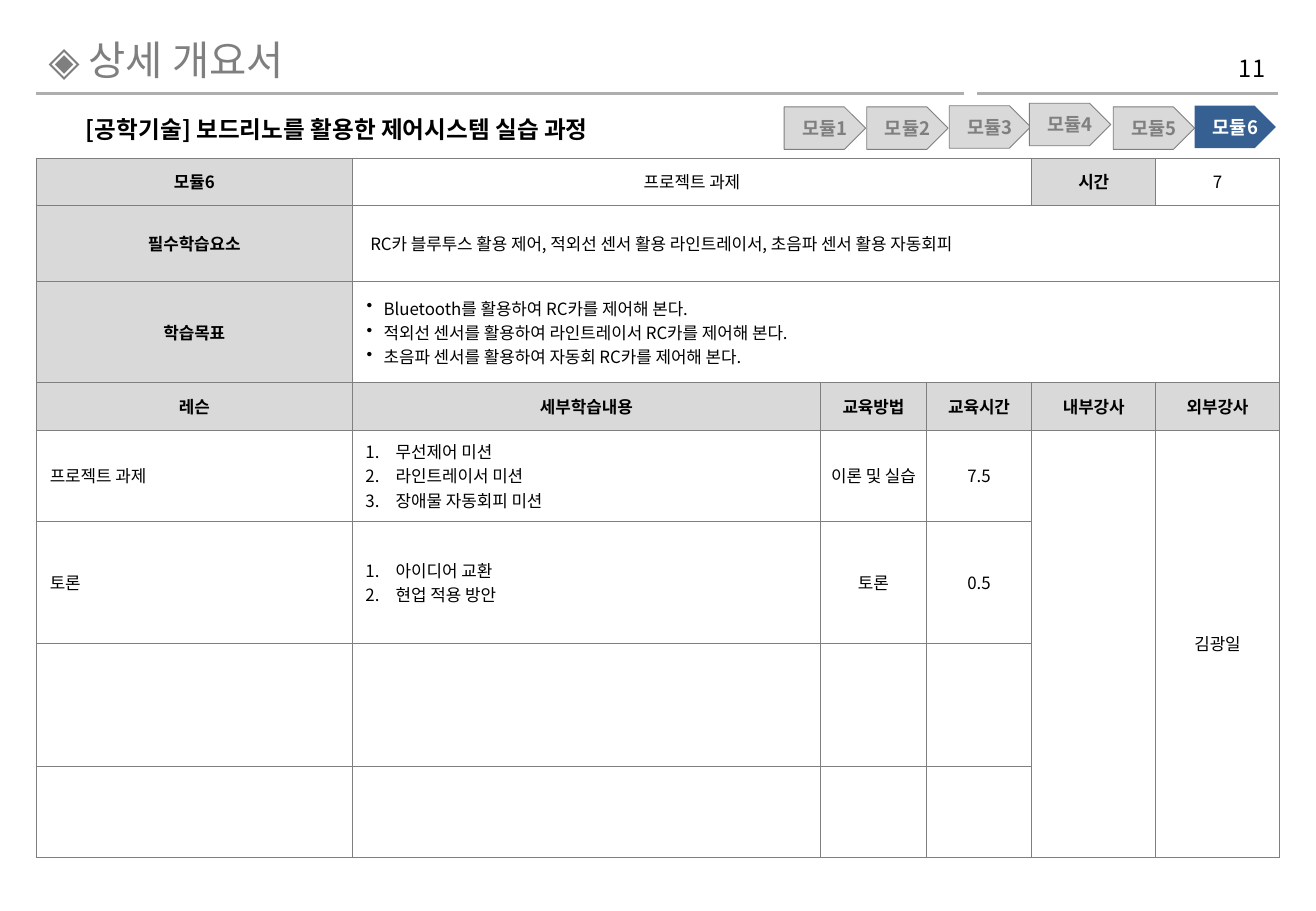
from dataclasses import dataclass

from pptx import Presentation
from pptx.dml.color import RGBColor
from pptx.enum.shapes import MSO_CONNECTOR, MSO_SHAPE
from pptx.enum.text import MSO_ANCHOR, MSO_AUTO_SIZE, PP_ALIGN
from pptx.oxml.ns import qn
from pptx.slide import Slide
from pptx.table import Table, _Cell
from pptx.text.text import TextFrame
from pptx.util import Emu, Pt
from lxml import etree

LEFT, CENTER, RIGHT = PP_ALIGN.LEFT, PP_ALIGN.CENTER, PP_ALIGN.RIGHT
MIDDLE = MSO_ANCHOR.MIDDLE
NO_AUTOFIT = MSO_AUTO_SIZE.NONE
STRAIGHT = MSO_CONNECTOR.STRAIGHT
PENTAGON = MSO_SHAPE.PENTAGON
EMU_PER_PX = 9144  # 100 px to the inch


@dataclass(frozen=True)
class Theme:
    font: str = "Noto Sans CJK KR"
    black: str = "000000"
    white: str = "FFFFFF"
    gray: str = "7F7F7F"
    light: str = "D9D9D9"
    rule: str = "AEAEAE"
    active: str = "376092"
    title_size: float = 24
    heading_size: float = 14
    module_size: float = 11
    table_size: float = 10
    rule_width: float = 2
    outline_width: float = 0.5
    border_width: float = 0.45


THEME = Theme()


@dataclass(frozen=True)
class Box:
    left: int
    top: int
    width: int
    height: int


@dataclass(frozen=True)
class Module:
    label: str
    left: int
    top: int
    active: bool = False


@dataclass(frozen=True)
class CellStyle:
    header: bool = False
    align: PP_ALIGN = CENTER
    margin: int = 0
    indent: int = 0
    bullet: str = ""


@dataclass(frozen=True)
class Entry:
    row: int
    column: int
    lines: tuple[str, ...]
    style: CellStyle
    row_span: int = 1
    column_span: int = 1


HEADER = CellStyle(header=True)
VALUE = CellStyle()
LESSON = CellStyle(align=LEFT, margin=10)
SUMMARY = CellStyle(align=LEFT, margin=14)
GOALS = CellStyle(align=LEFT, margin=25, indent=-14, bullet="•")
STEPS = CellStyle(align=LEFT, margin=35, indent=-25, bullet="arabicPeriod")

TITLE_BOX = Box(30, 21, 752, 56)
PAGE_BOX = Box(998, 36, 54, 40)
COURSE_BOX = Box(61, 88, 485, 36)
RULES = ((30, 794), (805, 1053))
RULE_TOP = 77
MODULE_WIDTH, MODULE_HEIGHT = 67, 35
MODULES = (
    Module("모듈1", 646, 88),
    Module("모듈2", 714, 88),
    Module("모듈3", 782, 87),
    Module("모듈4", 848, 85),
    Module("모듈5", 917, 88),
    Module("모듈6", 984, 87, active=True),
)

COLUMNS = (260, 386, 87, 87, 102, 102)
ROWS = (39, 63, 83, 39, 75, 101, 101, 75)
TABLE_BOX = Box(30, 130, sum(COLUMNS), sum(ROWS))
COLUMN_TITLES = ("레슨", "세부학습내용", "교육방법", "교육시간", "내부강사", "외부강사")
ENTRIES = (
    Entry(0, 0, ("모듈6",), HEADER),
    Entry(0, 1, ("프로젝트 과제",), VALUE, column_span=3),
    Entry(0, 4, ("시간",), HEADER),
    Entry(0, 5, ("7",), VALUE),
    Entry(1, 0, ("필수학습요소",), HEADER),
    Entry(1, 1, ("RC카 블루투스 활용 제어, 적외선 센서 활용 라인트레이서, 초음파 센서 활용 자동회피",),
          SUMMARY, column_span=5),
    Entry(2, 0, ("학습목표",), HEADER),
    Entry(2, 1, ("Bluetooth를 활용하여 RC카를 제어해 본다.",
                 "적외선 센서를 활용하여 라인트레이서 RC카를 제어해 본다.",
                 "초음파 센서를 활용하여 자동회 RC카를 제어해 본다."), GOALS, column_span=5),
    *(Entry(3, column, (title,), HEADER) for column, title in enumerate(COLUMN_TITLES)),
    Entry(4, 0, ("프로젝트 과제",), LESSON),
    Entry(4, 1, ("무선제어 미션", "라인트레이서 미션", "장애물 자동회피 미션"), STEPS),
    Entry(4, 2, ("이론 및 실습",), VALUE),
    Entry(4, 3, ("7.5",), VALUE),
    Entry(4, 4, (), VALUE, row_span=4),
    Entry(4, 5, ("김광일",), VALUE, row_span=4),
    Entry(5, 0, ("토론",), LESSON),
    Entry(5, 1, ("아이디어 교환", "현업 적용 방안"), STEPS),
    Entry(5, 2, ("토론",), VALUE),
    Entry(5, 3, ("0.5",), VALUE),
)


def px(length: int) -> Emu:
    return Emu(length * EMU_PER_PX)


def place(box: Box) -> tuple[Emu, Emu, Emu, Emu]:
    return px(box.left), px(box.top), px(box.width), px(box.height)


def rgb(color: str) -> RGBColor:
    return RGBColor.from_string(color)


def set_insets(holder: TextFrame | _Cell, left: int, right: int) -> None:
    holder.vertical_anchor = MIDDLE
    holder.margin_left, holder.margin_right = px(left), px(right)
    holder.margin_top = holder.margin_bottom = px(5)


def write_text(frame: TextFrame, lines: tuple[str, ...], *, size: float, color: str = THEME.black,
               bold: bool = False, align: PP_ALIGN = LEFT, margin: int = 0, indent: int = 0,
               bullet: str = "") -> None:
    for index, line in enumerate(lines):
        paragraph = frame.add_paragraph() if index else frame.paragraphs[0]
        paragraph.alignment = align
        properties = paragraph._p.get_or_add_pPr()
        properties.set("marL", str(px(margin)))
        properties.set("indent", str(px(indent)))
        if bullet == "•":
            etree.SubElement(properties, qn("a:buChar"), char=bullet)
        elif bullet:
            etree.SubElement(properties, qn("a:buAutoNum"), type=bullet)
        run = paragraph.add_run()
        run.text = line
        font = run.font
        font.name, font.size, font.bold = THEME.font, Pt(size), bold
        font.color.rgb = rgb(color)
        etree.SubElement(run._r.get_or_add_rPr(), qn("a:ea"), typeface=THEME.font)


def add_label(slide: Slide, box: Box, text: str, *, bold: bool = False, align: PP_ALIGN = LEFT) -> None:
    frame = slide.shapes.add_textbox(*place(box)).text_frame
    frame.word_wrap = True
    set_insets(frame, 10, 10)
    write_text(frame, (text,), size=THEME.heading_size, bold=bold, align=align)


def add_title(slide: Slide, text: str) -> None:
    title = slide.shapes.title
    title.left, title.top, title.width, title.height = place(TITLE_BOX)
    title.text_frame.auto_size = NO_AUTOFIT
    set_insets(title.text_frame, 10, 10)
    write_text(title.text_frame, (text,), size=THEME.title_size, color=THEME.gray)


def add_rule(slide: Slide, start: int, end: int) -> None:
    rule = slide.shapes.add_connector(STRAIGHT, px(start), px(RULE_TOP), px(end), px(RULE_TOP))
    rule.line.color.rgb = rgb(THEME.rule)
    rule.line.width = Pt(THEME.rule_width)
    etree.SubElement(rule._element.spPr, qn("a:effectLst"))


def add_module(slide: Slide, module: Module) -> None:
    box = Box(module.left, module.top, MODULE_WIDTH, MODULE_HEIGHT)
    shape = slide.shapes.add_shape(PENTAGON, *place(box))
    shape.shadow.inherit = False
    shape.fill.solid()
    shape.fill.fore_color.rgb = rgb(THEME.active if module.active else THEME.light)
    if module.active:
        shape.line.fill.background()
    else:
        shape.line.color.rgb = rgb(THEME.gray)
        shape.line.width = Pt(THEME.outline_width)
    shape.text_frame.word_wrap = False
    set_insets(shape.text_frame, 9, 0)  # offsets the pentagon's narrower text area
    write_text(shape.text_frame, (module.label,), size=THEME.module_size, bold=True, align=CENTER,
               color=THEME.white if module.active else THEME.gray)


def format_cell(cell: _Cell, fill: str) -> None:
    set_insets(cell, 1, 1)
    properties = cell._tc.get_or_add_tcPr()
    for side in ("a:lnL", "a:lnR", "a:lnT", "a:lnB"):
        border = etree.SubElement(properties, qn(side), w=str(Pt(THEME.border_width)))
        solid = etree.SubElement(border, qn("a:solidFill"))
        etree.SubElement(solid, qn("a:srgbClr"), val=THEME.gray)
    cell.fill.solid()
    cell.fill.fore_color.rgb = rgb(fill)


def fill_entry(table: Table, entry: Entry) -> None:
    cell, style = table.cell(entry.row, entry.column), entry.style
    if entry.row_span > 1 or entry.column_span > 1:
        cell.merge(table.cell(entry.row + entry.row_span - 1, entry.column + entry.column_span - 1))
    write_text(cell.text_frame, entry.lines, size=THEME.table_size, bold=style.header,
               align=style.align, margin=style.margin, indent=style.indent, bullet=style.bullet)


def add_outline_table(slide: Slide) -> None:
    table = slide.shapes.add_table(len(ROWS), len(COLUMNS), *place(TABLE_BOX)).table
    for column, width in zip(table.columns, COLUMNS):
        column.width = px(width)
    headers = {(entry.row, entry.column) for entry in ENTRIES if entry.style.header}
    for row, height in enumerate(ROWS):
        table.rows[row].height = px(height)
        for column in range(len(COLUMNS)):
            format_cell(table.cell(row, column), THEME.light if (row, column) in headers else THEME.white)
    for entry in ENTRIES:
        fill_entry(table, entry)


def main() -> None:
    presentation = Presentation()
    presentation.slide_width, presentation.slide_height = px(1084), px(750)
    slide = presentation.slides.add_slide(presentation.slide_layouts[5])

    # Heading
    add_title(slide, "◈ 상세 개요서")
    for start, end in RULES:
        add_rule(slide, start, end)
    add_label(slide, PAGE_BOX, "11", align=RIGHT)
    add_label(slide, COURSE_BOX, "[공학기술] 보드리노를 활용한 제어시스템 실습 과정", bold=True)

    # Course outline and module steps
    add_outline_table(slide)
    for module in MODULES:
        add_module(slide, module)

    presentation.save("out.pptx")


if __name__ == "__main__":
    main()
